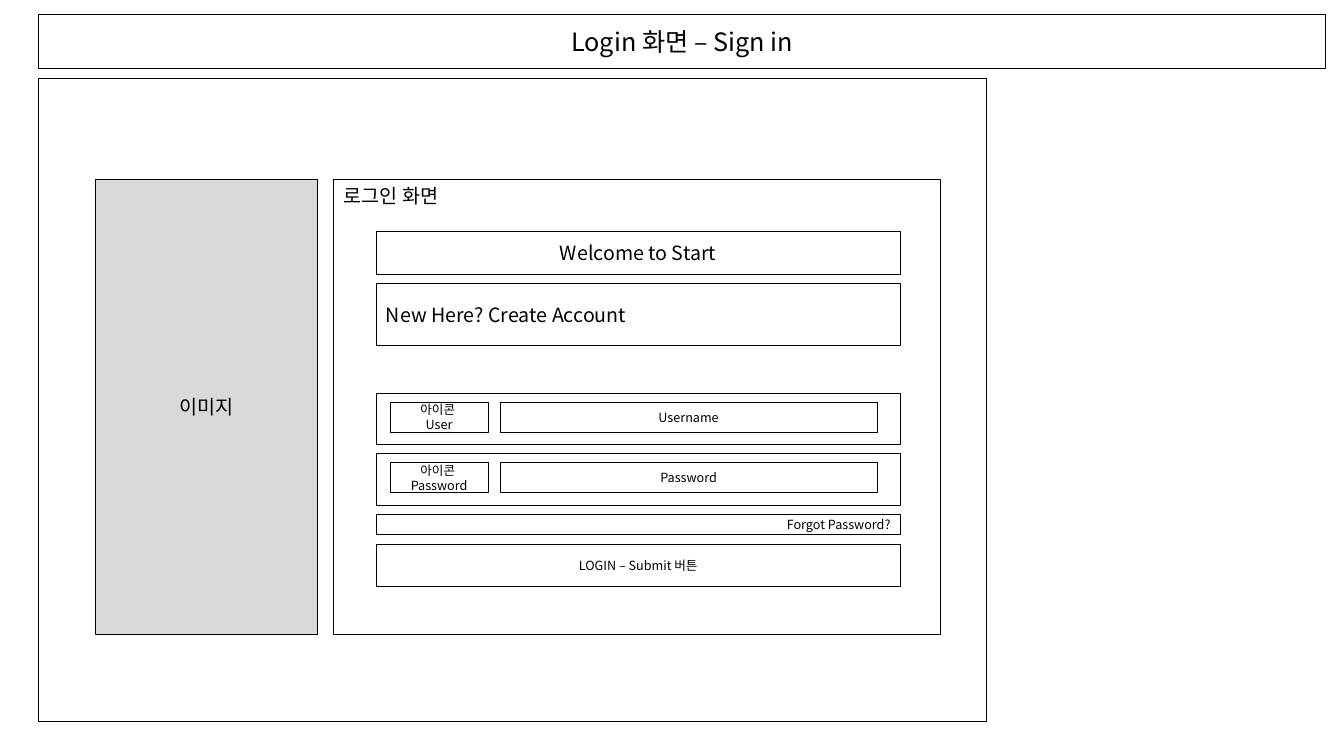
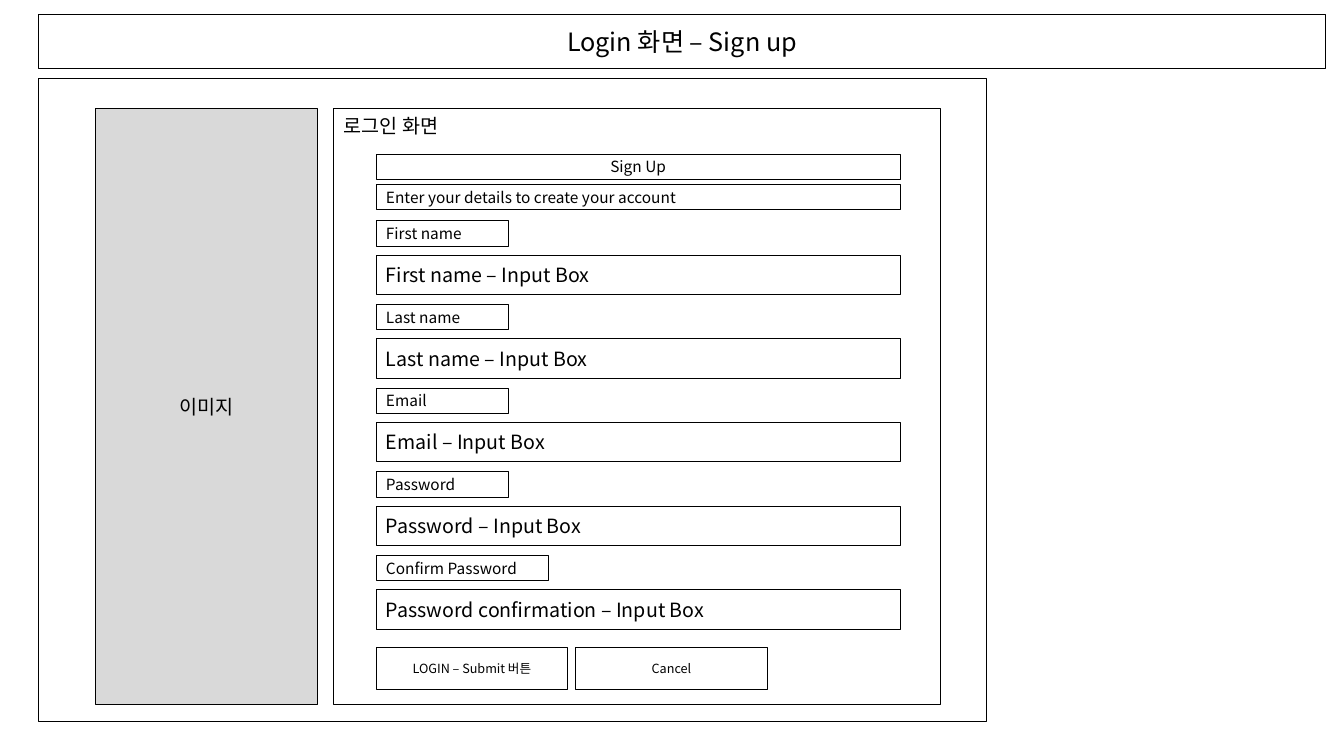
from pptx import Presentation
from pptx.dml.color import RGBColor
from pptx.enum.shapes import MSO_SHAPE as SHAPE
from pptx.enum.text import MSO_ANCHOR as ANCHOR, MSO_AUTO_SIZE as AUTO, PP_ALIGN as ALIGN
from pptx.oxml.ns import qn
from pptx.util import Inches, Pt
from lxml.etree import SubElement

# Shared style
FONT = "Noto Sans CJK KR"
BLACK = RGBColor(0x00, 0x00, 0x00)
GREY = RGBColor(0xD9, 0xD9, 0xD9)
BIG, MEDIUM, LABEL, SMALL = 18, 14, 11, 9
TITLE_ONLY = 5

# Columns as (left, width) and rows as (top, height), in inches
COLS = {
    "title": (0.38, 12.77),
    "frame": (0.38, 9.4),
    "image": (0.95, 2.2),
    "panel": (3.31, 6.02),
    "form": (3.73, 5.2),
    "icon": (3.87, 0.97),
    "input": (4.96, 3.74),
    "label": (3.73, 1.31),
    "wide label": (3.73, 1.71),
    "submit": (3.73, 1.9),
    "cancel": (5.71, 1.9),
}
TITLE_ROW = (0.14, 0.54)
FRAME_ROW = (0.78, 6.38)


def place(sp, col, row):
    (left, width), (top, height) = COLS[col], row
    box_format = {"left": left, "top": top, "width": width, "height": height}
    for name, value in box_format.items():
        setattr(sp, name, Inches(value))


def outline(sp, fill=None):
    if fill is None:
        sp.fill.background()
    else:
        sp.fill.solid()
        sp.fill.fore_color.rgb = fill
    sp.line.color.rgb = BLACK
    sp.line.width = Pt(0.5)


def write(sp, text, size, align=ALIGN.CENTER, anchor=ANCHOR.MIDDLE):
    tf = sp.text_frame
    frame_format = {"text": text, "word_wrap": True, "auto_size": AUTO.NONE,
                    "vertical_anchor": anchor}
    for name, value in frame_format.items():
        setattr(tf, name, value)
    for p in tf.paragraphs:
        p.alignment = align
        for r in p.runs:
            for name, value in {"size": Pt(size), "name": FONT}.items():
                setattr(r.font, name, value)
            r.font.color.rgb = BLACK
            SubElement(r.font._element, qn("a:ea"), typeface=FONT)


def box(s, col, row, text="", size=SMALL, align=ALIGN.CENTER,
        anchor=ANCHOR.MIDDLE, fill=None):
    sp = s.shapes.add_shape(SHAPE.RECTANGLE, 0, 0, 0, 0)
    sp.shadow.inherit = False
    place(sp, col, row)
    outline(sp, fill)
    if text:
        write(sp, text, size, align, anchor)
    return sp


def screen(prs, title, row):
    """Slide with its title bar, image area and form panel."""
    s = prs.slides.add_slide(prs.slide_layouts[TITLE_ONLY])
    place(s.shapes.title, "title", TITLE_ROW)
    outline(s.shapes.title)
    write(s.shapes.title, title, BIG)
    box(s, "image", row, "이미지", MEDIUM, fill=GREY)
    box(s, "panel", row, "로그인 화면 ", MEDIUM, ALIGN.LEFT, ANCHOR.TOP)
    return s


def share_frame(s):
    """Put the page frame on the layout, so that every slide shows it."""
    frame = box(s, "frame", FRAME_ROW)
    s.slide_layout.shapes._spTree.append(frame._element)


def icon_input(s, top, icon, hint):
    box(s, "form", (top, 0.51))
    row = (top + 0.09, 0.3)
    box(s, "icon", row, f"아이콘 \n{icon}")
    box(s, "input", row, hint)


def labelled_input(s, top, label, name, col="label"):
    box(s, col, (top, 0.25), label, LABEL, ALIGN.LEFT)
    box(s, "form", (top + 0.34, 0.39), f"{name} – Input Box", MEDIUM, ALIGN.LEFT)


def sign_in(prs):
    s = screen(prs, "Login 화면 – Sign in", (1.78, 4.51))
    share_frame(s)
    box(s, "form", (2.3, 0.42), "Welcome to Start", MEDIUM)
    box(s, "form", (2.81, 0.62), "New Here? Create Account", MEDIUM, ALIGN.LEFT)
    for i, (icon, hint) in enumerate([("User", "Username"), ("Password", "Password")]):
        icon_input(s, 3.9 + 0.6 * i, icon, hint)
    box(s, "form", (5.1, 0.2), "Forgot Password?", align=ALIGN.RIGHT)
    box(s, "form", (5.4, 0.42), "LOGIN – Submit 버튼")


def sign_up(prs):
    s = screen(prs, "Login 화면 – Sign up", (1.08, 5.91))
    box(s, "form", (1.53, 0.25), "Sign Up", LABEL)
    box(s, "form", (1.83, 0.25), "Enter your details to create your account",
        LABEL, ALIGN.LEFT)
    fields = [
        ("First name", "First name", "label"),
        ("Last name", "Last name", "label"),
        ("Email", "Email", "label"),
        ("Password", "Password", "label"),
        ("Confirm Password", "Password confirmation", "wide label"),
    ]
    for i, field in enumerate(fields):
        labelled_input(s, 2.19 + 0.83 * i, *field)
    for col, text in [("submit", "LOGIN – Submit 버튼"), ("cancel", "Cancel")]:
        box(s, col, (6.42, 0.42), text)


def main():
    prs = Presentation()
    prs.slide_width, prs.slide_height = Inches(13.33), Inches(7.5)
    sign_in(prs)
    sign_up(prs)
    prs.save("out.pptx")


main()
